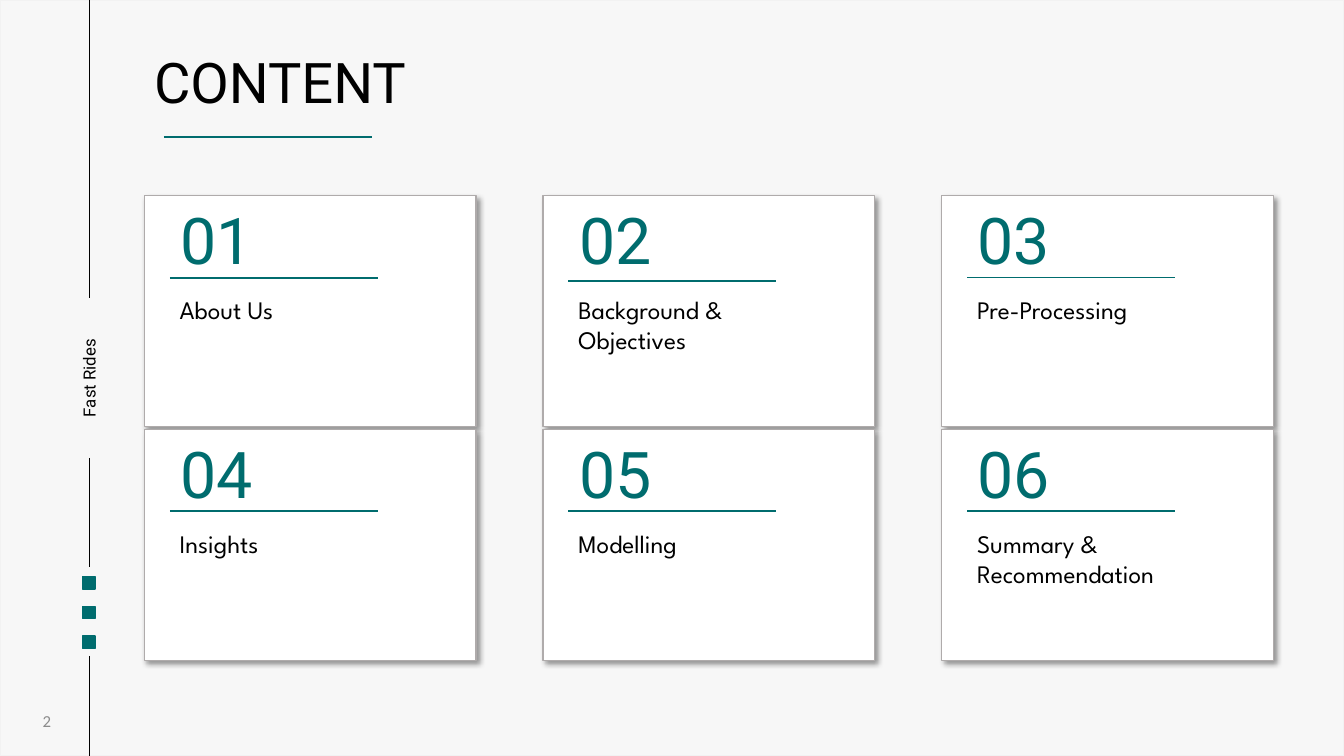
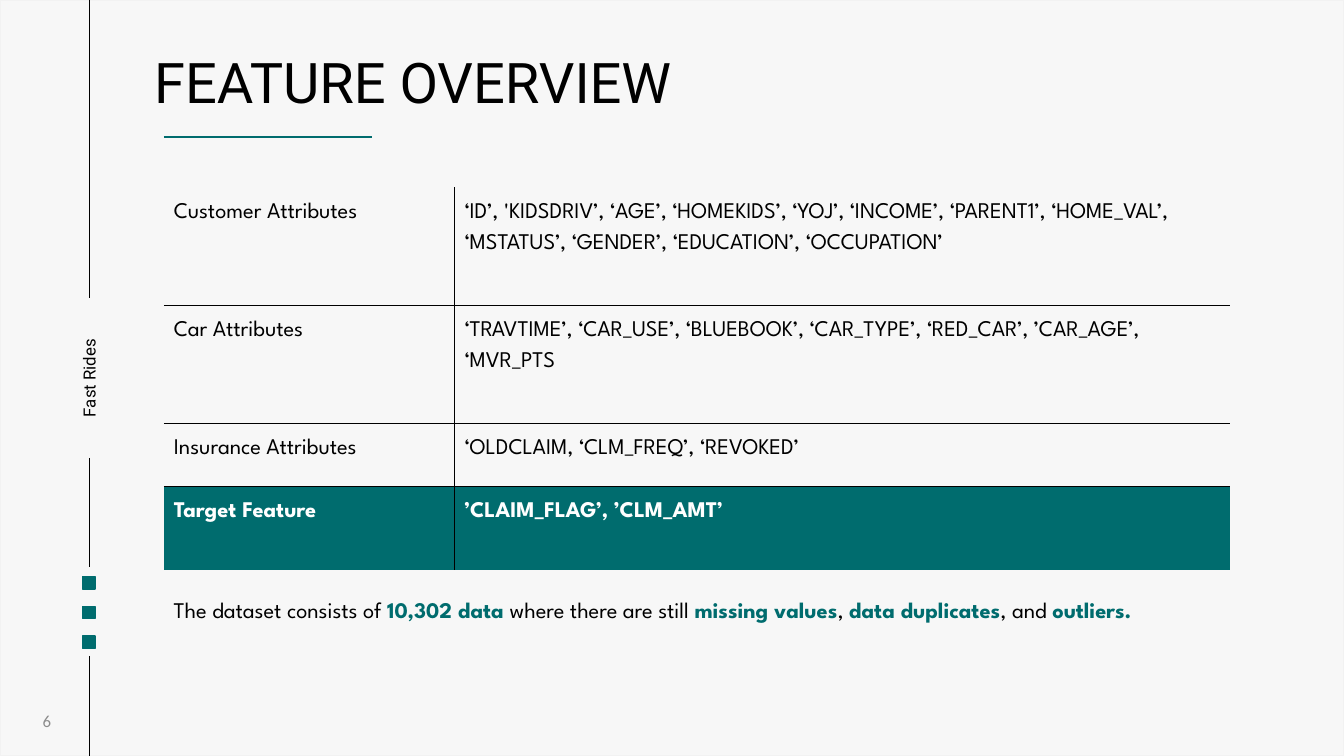
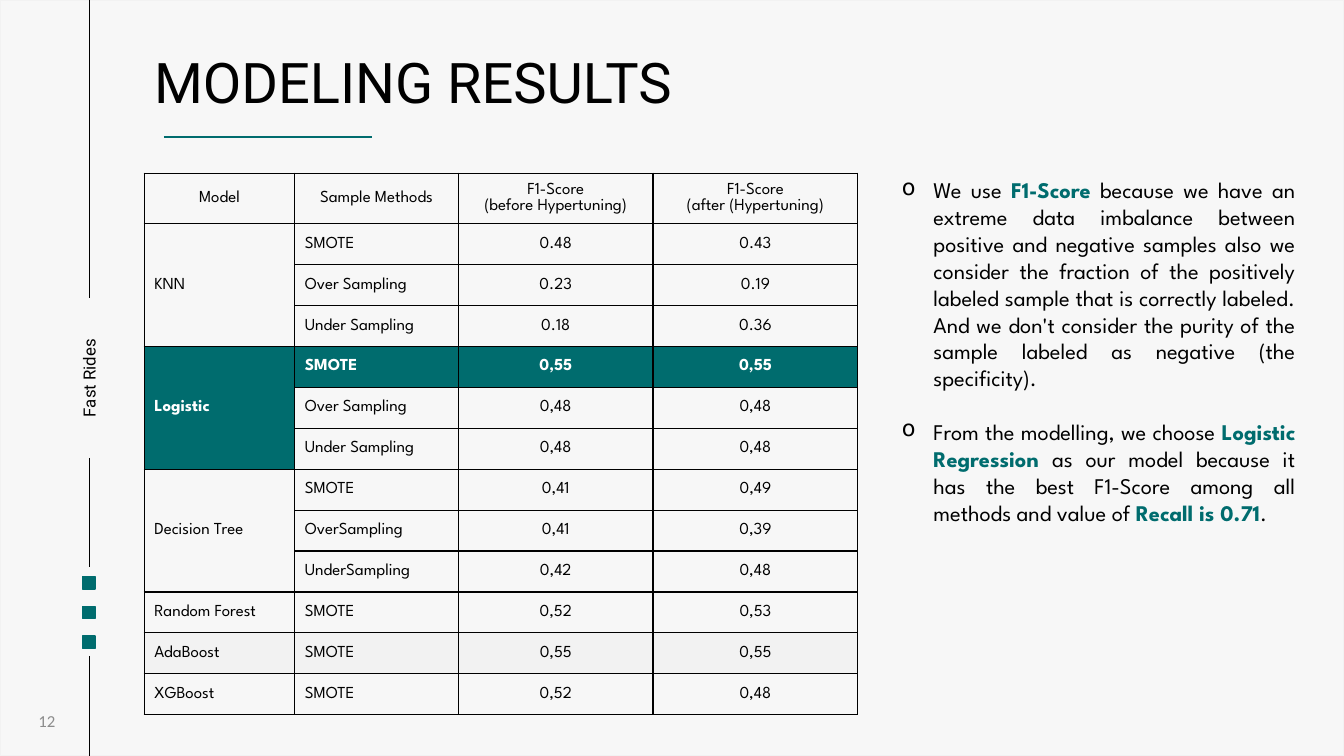
"""Build three slides of a car insurance modelling deck."""
from dataclasses import dataclass

from lxml import etree
from pptx import Presentation
from pptx.dml.color import RGBColor
from pptx.enum.shapes import MSO_CONNECTOR, MSO_SHAPE
from pptx.enum.text import MSO_ANCHOR, PP_ALIGN
from pptx.oxml.ns import qn
from pptx.util import Pt

LEFT, MID, JUST = PP_ALIGN.LEFT, PP_ALIGN.CENTER, PP_ALIGN.JUSTIFY
TOP, HALF = MSO_ANCHOR.TOP, MSO_ANCHOR.MIDDLE
RECT, LINE = MSO_SHAPE.RECTANGLE, MSO_CONNECTOR.STRAIGHT
HEAD, BODY, FOOT = "Roboto", "League Spartan", "Calibri"
HUES = {
    "page": "F7F7F7", "edge": "F2F2F2", "teal": "006C6E", "ink": "000000",
    "white": "FFFFFF", "frame": "AFABAB", "mute": "8C8C8C",
}
WIDE, HIGH = 960, 540
RAIL = 63.5
SIDES = ("lnL", "lnR", "lnT", "lnB")


@dataclass
class Card:
    """One numbered entry of the contents."""
    label: str
    rule: float


@dataclass
class Model:
    """One model with its sampling methods and scores."""
    name: str
    runs: list[tuple[str, str, str]]
    fill: str = ""
    best: bool = False


CARDS = [
    Card("About Us", 59), Card("Background & Objectives", 61),
    Card("Pre-Processing", 58.3), Card("Insights", 58.3),
    Card("Modelling", 58.3), Card("Summary & Recommendation", 58.3),
]
TRAITS = [
    ("Customer Attributes",
     "‘ID’, 'KIDSDRIV’, ‘AGE’, ‘HOMEKIDS’, ‘YOJ’, ‘INCOME’, ‘PARENT1’, "
     "‘HOME_VAL’, ‘MSTATUS’, ‘GENDER’, ‘EDUCATION’, ‘OCCUPATION’", 84.2),
    ("Car Attributes",
     "‘TRAVTIME’, ‘CAR_USE’, ‘BLUEBOOK’, ‘CAR_TYPE’, ‘RED_CAR’, ’CAR_AGE’, "
     "‘MVR_PTS", 84.2),
    ("Insurance Attributes", "‘OLDCLAIM, ‘CLM_FREQ’, ‘REVOKED’", 45.2),
    ("Target Feature", "’CLAIM_FLAG’, ’CLM_AMT’", 59.6),
]
HEADS = ("Model", "Sample Methods", "F1-Score\n(before Hypertuning)",
         "F1-Score\n(after (Hypertuning)")
MODELS = [
    Model("KNN", [("SMOTE", "0.48", "0.43"), ("Over Sampling", "0.23", "0.19"),
                  ("Under Sampling", "0.18", "0.36")]),
    Model("Logistic", [("SMOTE", "0,55", "0,55"),
                       ("Over Sampling", "0,48", "0,48"),
                       ("Under Sampling", "0,48", "0,48")], best=True),
    Model("Decision Tree", [("SMOTE", "0,41", "0,49"),
                            ("OverSampling", "0,41", "0,39"),
                            ("UnderSampling", "0,42", "0,48")]),
    Model("Random Forest", [("SMOTE", "0,52", "0,53")]),
    Model("AdaBoost", [("SMOTE", "0,55", "0,55")], fill="edge"),
    Model("XGBoost", [("SMOTE", "0,52", "0,48")]),
]
NOTES = (
    "We use **F1-Score** because we have an extreme data imbalance between "
    "positive and negative samples also we consider the fraction of the "
    "positively labeled sample that is correctly labeled. And we don't "
    "consider the purity of the sample labeled as negative (the specificity)."
    "\nFrom the modelling, we choose **Logistic Regression **as our model "
    "because it has the best F1-Score among all methods and value of "
    "**Recall is 0.71**."
)


def tint(name: str) -> RGBColor:
    """Return a named colour."""
    return RGBColor.from_string(HUES[name])


def node(root, tag: str, **attrs: str):
    """Append a DrawingML element and return it."""
    return etree.SubElement(root, qn(f"a:{tag}"), attrs)


def write(frame, text: str, *, size: float, font: str = BODY, hue: str = "ink",
          bold: bool = False, align=LEFT, line: float = 0, gap: float = 0,
          bullet: bool = False) -> None:
    """Fill a frame; newlines part paragraphs and ** marks teal bold runs."""
    frame.word_wrap = True
    for i, part in enumerate(text.split("\n")):
        para = frame.add_paragraph() if i else frame.paragraphs[0]
        para.alignment = align
        if line:
            para.line_spacing = line
        if gap and i:
            para.space_before = Pt(gap)
        if bullet:
            props = para._p.get_or_add_pPr()
            props.set("marL", str(Pt(22.5)))
            props.set("indent", str(-Pt(22.5)))
            node(props, "buChar", char="o")
        for j, piece in enumerate(part.split("**")):
            if piece:
                run = para.add_run()
                run.text = piece
                run.font.size, run.font.name = Pt(size), font
                run.font.bold = bold or j % 2 == 1
                run.font.color.rgb = tint("teal" if j % 2 else hue)


def label(slide, text: str, x: float, y: float, w: float, h: float, *,
          anchor=TOP, turn: float = 0, **style) -> None:
    """Add a text box."""
    box = slide.shapes.add_textbox(Pt(x), Pt(y), Pt(w), Pt(h))
    box.rotation = turn
    box.text_frame.vertical_anchor = anchor
    write(box.text_frame, text, **style)


def block(slide, x: float, y: float, w: float, h: float, fill: str,
          edge: str, shade: bool = False) -> None:
    """Add a rectangle, with a soft shadow if asked."""
    shape = slide.shapes.add_shape(RECT, Pt(x), Pt(y), Pt(w), Pt(h))
    shape.shadow.inherit = False
    shape.fill.solid()
    shape.fill.fore_color.rgb = tint(fill)
    shape.line.color.rgb = tint(edge)
    shape.line.width = Pt(1)
    if shade:
        glow = node(shape._element.spPr.find(qn("a:effectLst")), "outerShdw",
                    blurRad=str(Pt(4)), dist=str(Pt(3)), dir="2700000",
                    algn="tl", rotWithShape="0")
        node(node(glow, "srgbClr", val=HUES["ink"]), "alpha", val="40000")


def rule(slide, x: float, y: float, w: float = 0, h: float = 0,
         hue: str = "teal", width: float = 1) -> None:
    """Add a straight line."""
    stroke = slide.shapes.add_connector(LINE, Pt(x), Pt(y), Pt(x + w), Pt(y + h))
    stroke.line.color.rgb = tint(hue)
    stroke.line.width = Pt(width)
    node(stroke._element.spPr, "effectLst")


def grid(slide, x: float, y: float, cols: list[float], rows: list[float]):
    """Add a plain table with the given column widths and row heights."""
    table = slide.shapes.add_table(len(rows), len(cols), Pt(x), Pt(y),
                                   Pt(sum(cols)), Pt(sum(rows))).table
    table.first_row = table.horz_banding = False
    for col, w in zip(table.columns, cols):
        col.width = Pt(w)
    for row, h in zip(table.rows, rows):
        row.height = Pt(h)
    return table


def dress(cell, fill: str = "", sides: tuple[str, ...] = SIDES) -> None:
    """Set the fill of a cell and draw borders on the given sides."""
    if fill:
        cell.fill.solid()
        cell.fill.fore_color.rgb = tint(fill)
    else:
        cell.fill.background()
    props = cell._tc.get_or_add_tcPr()
    for i, side in enumerate(SIDES):
        edge = node(props, side, w=str(Pt(1)))
        if side in sides:
            node(node(edge, "solidFill"), "srgbClr", val=HUES["ink"])
        else:
            node(edge, "noFill")
        props.insert(i, edge)


def start(deck, title: str, page: int):
    """Add a slide with the side rail, title and page number."""
    slide = deck.slides.add_slide(deck.slide_layouts[6])
    block(slide, 0, 0, WIDE, HIGH, "page", "edge")
    for y, end in ((0, 213), (327, 405), (468.5, HIGH)):
        rule(slide, RAIL, y, h=end - y, hue="ink", width=0.25)
    label(slide, "Fast Rides", RAIL - 59, 259.2, 118, 21.6, turn=270,
          size=12, font=HEAD, align=MID)
    for i in range(3):
        block(slide, RAIL - 4.4, 412 + 21.2 * i, 8.8, 8.8, "teal", "teal")
    label(slide, title, 103, 30.2, 801, 55.4, anchor=HALF, size=40, font=HEAD)
    rule(slide, 117, 97.8, w=148.5)
    label(slide, str(page), 16.5, 500.4, 34, 28.8, anchor=HALF, size=12,
          font=FOOT, hue="mute", align=MID)
    return slide


def content(deck) -> None:
    """Draw the contents in a grid of cards."""
    slide = start(deck, "CONTENT", 2)
    for i, card in enumerate(CARDS):
        x, y = 103 + 284.75 * (i % 3), 139.7 + 167 * (i // 3)
        block(slide, x, y, 237, 165, "white", "frame", shade=True)
        label(slide, f"{i + 1:02}", x + 11, y, 81.4, 63.4, size=46,
              font=HEAD, hue="teal", align=MID)
        rule(slide, x + 18.3, y + card.rule, w=148.5)
        label(slide, card.label, x + 18.3, y + 67, 148.5, 51, size=18)


def feature(deck) -> None:
    """Draw the table of features and the remark on the data."""
    slide = start(deck, "FEATURE OVERVIEW", 6)
    table = grid(slide, 117, 133.9, [207.7, 553.7], [t[2] for t in TRAITS])
    last = len(TRAITS) - 1
    for r, trait in enumerate(TRAITS):
        goal = r == last
        for c in range(2):
            cell = table.cell(r, c)
            write(cell.text_frame, trait[c], size=16, line=1.5, bold=goal,
                  hue="white" if goal else "ink")
            sides = ["lnL" if c else "lnR"]
            if r:
                sides.append("lnT")
            if not goal:
                sides.append("lnB")
            dress(cell, "teal" if goal else "", tuple(sides))
    label(slide, "The dataset consists of **10,302 data **where there are still "
          "**missing values**, **data duplicates**, and **outliers.**",
          117, 421.9, 761.8, 46, size=16, align=JUST)


def results(deck) -> None:
    """Draw the table of scores and the reasons for the choice."""
    slide = start(deck, "MODELING RESULTS", 12)
    label(slide, NOTES, 637.2, 122.4, 295.2, 317.5, size=16, align=JUST,
          gap=19.2, bullet=True)
    count = sum(len(m.runs) for m in MODELS)
    table = grid(slide, 103, 123.8, [107.5, 117, 139, 146.3],
                 [35.7] + [29.23] * count)

    def put(r: int, c: int, text: str, fill: str = "", mark: bool = False) -> None:
        """Write one cell of the table."""
        cell = table.cell(r, c)
        cell.vertical_anchor = HALF
        write(cell.text_frame, text, size=12, bold=mark,
              hue="white" if mark else "ink",
              align=MID if c > 1 or r == 0 else LEFT)
        dress(cell, "teal" if mark else fill)

    for c, head in enumerate(HEADS):
        put(0, c, head)
    r = 1
    for model in MODELS:
        for i, run in enumerate(model.runs):
            put(r + i, 0, "" if i else model.name, model.fill, model.best)
            for c, text in enumerate(run, 1):
                put(r + i, c, text, model.fill, model.best and i == 0)
        end = r + len(model.runs)
        if end - r > 1:
            table.cell(r, 0).merge(table.cell(end - 1, 0))
        r = end


def main() -> None:
    """Build and save the deck."""
    deck = Presentation()
    deck.slide_width, deck.slide_height = Pt(WIDE), Pt(HIGH)
    for draw in (content, feature, results):
        draw(deck)
    deck.save("out.pptx")


if __name__ == "__main__":
    main()
